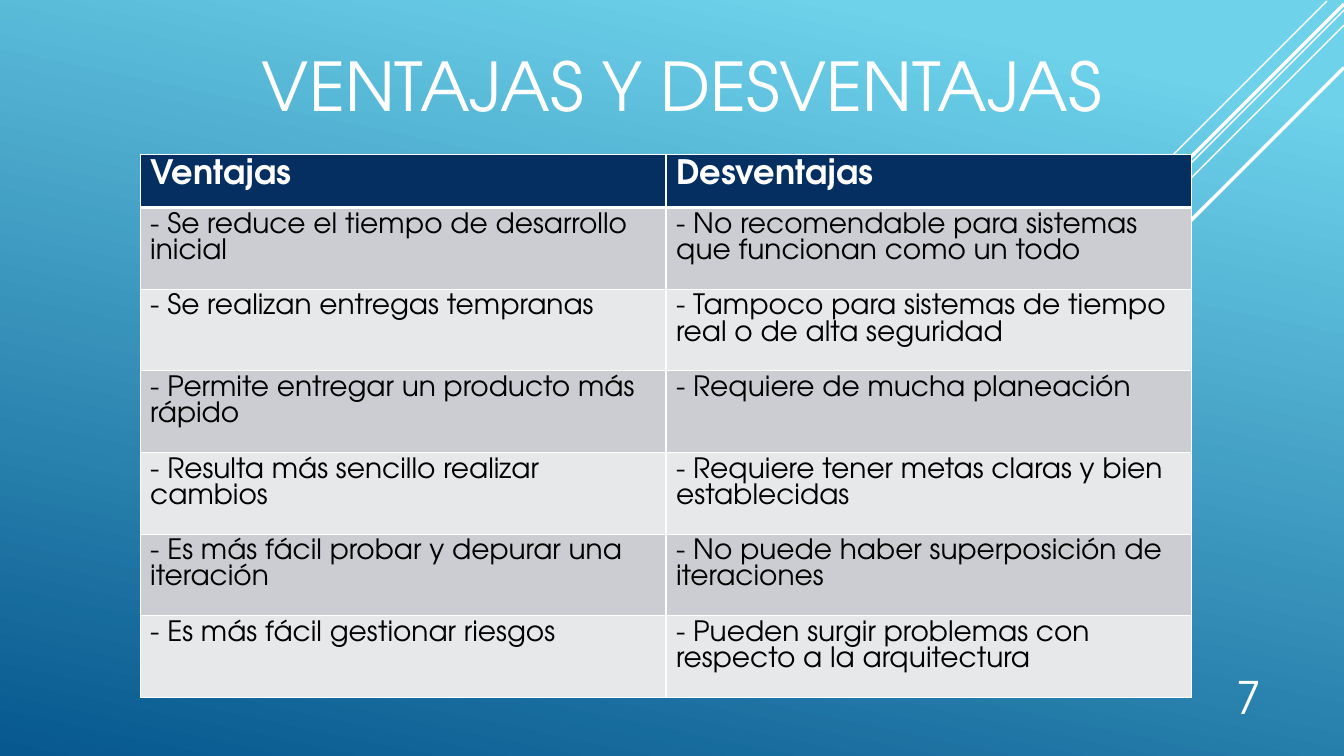
import pptx
import pptx.util
import pptx.oxml
import pptx.dml.color
import pptx.enum.shapes
import pptx.enum.text
import pptx.oxml.ns

Inches = pptx.util.Inches
Pt = pptx.util.Pt
HUES = {"white": "FFFFFF", "black": "000000", "navy": "052F61",
        "dark": "CCCDD2", "pale": "E7E8EA", "sky": "6ED2EB", "sea": "06588E"}
FONT = "TeX Gyre Adventor"
RAYS = [(13.16, 0.01, 4.16, 1), (13.33, 0.1, 6.65, 1), (13.33, 0.25, 5.42, 1),
        (13.33, 0.04, 5.3, 2.5), (13.33, 0.67, 4.75, 2.5)]
ROWS = [
    ("Ventajas", "Desventajas"),
    ("- Se reduce el tiempo de desarrollo inicial",
     "- No recomendable para sistemas que funcionan como un todo"),
    ("- Se realizan entregas tempranas",
     "- Tampoco para sistemas de tiempo real o de alta seguridad"),
    ("- Permite entregar un producto más rápido", "- Requiere de mucha planeación"),
    ("- Resulta más sencillo realizar cambios",
     "- Requiere tener metas claras y bien establecidas"),
    ("- Es más fácil probar y depurar una iteración",
     "- No puede haber superposición de iteraciones"),
    ("- Es más fácil gestionar riesgos",
     "- Pueden surgir problemas con respecto a la arquitectura"),
]


def tint(name):
    return pptx.dml.color.RGBColor.from_string(HUES[name])


def write(frame, text, size=20, hue="white", bold=False):
    frame.word_wrap = True
    run = frame.paragraphs[0].add_run()
    run.text = text
    run.font.name = FONT
    run.font.size = Pt(size)
    run.font.bold = bold
    run.font.color.rgb = tint(hue)


class Deck:
    """Holds the style and the current slide, and draws each kind of element."""

    def __init__(self, slide):
        self.slide = slide

    def back(self, top, base, angle):
        fill = self.slide.background.fill
        fill.gradient()
        fill.gradient_angle = 360 - angle
        for stop, hue, place in zip(fill.gradient_stops, (top, base), (0.1, 1)):
            stop.color.rgb = tint(hue)
            stop.position = place

    def ray(self, x, y, reach, width):
        line = self.slide.shapes.add_connector(
            pptx.enum.shapes.MSO_CONNECTOR.STRAIGHT,
            Inches(x), Inches(y), Inches(x - reach), Inches(y + reach))
        line.line.color.rgb = tint("white")
        line.line.width = Pt(width)
        line._element.spPr.append(pptx.oxml.parse_xml(
            f"<a:effectLst {pptx.oxml.ns.nsdecls('a')}/>"))

    def label(self, text, box, anchor="TOP", **style):
        frame = self.slide.shapes.add_textbox(*map(Inches, box)).text_frame
        frame.vertical_anchor = getattr(pptx.enum.text.MSO_ANCHOR, anchor)
        write(frame, text, **style)

    def edge(self, cell, widths):
        props = cell._tc.get_or_add_tcPr()
        for spot, (side, width) in enumerate(zip("LRTB", widths)):
            props.insert(spot, pptx.oxml.parse_xml(
                f"<a:ln{side} {pptx.oxml.ns.nsdecls('a')} w='{Pt(width)}'>"
                f"<a:solidFill><a:srgbClr val='{HUES['white']}'/></a:solidFill>"
                f"</a:ln{side}>"))

    def table(self, rows, box, head, body):
        grid = self.slide.shapes.add_table(
            len(rows), len(rows[0]), *map(Inches, box)).table
        for r, texts in enumerate(rows):
            grid.rows[r].height = Inches(body if r else head)
            for c, text in enumerate(texts):
                cell = grid.cell(r, c)
                cell.fill.solid()
                hue = ("pale", "dark")[r % 2] if r else "navy"
                cell.fill.fore_color.rgb = tint(hue)
                self.edge(cell, (1, 1, 3 if r == 1 else 1, 1 if r else 3))
                if r:
                    write(cell.text_frame, text, hue="black")
                else:
                    write(cell.text_frame, text, size=24, bold=True)


def main():
    show = pptx.Presentation()
    show.slide_width, show.slide_height = Inches(13.33), Inches(7.5)
    deck = Deck(show.slides.add_slide(show.slide_layouts[6]))
    deck.back("sky", "sea", 102)
    for ray in RAYS:
        deck.ray(*ray)
    deck.label("VENTAJAS Y DESVENTAJAS", (2.5, 0.19, 8.75, 1.1), "BOTTOM", size=48)
    deck.table(ROWS, (1.39, 1.53, 10.43, 5.39), head=0.53, body=0.81)
    deck.label("7", (12.17, 6.59, 0.59, 0.64), size=32)
    show.save("out.pptx")


if __name__ == "__main__":
    main()
